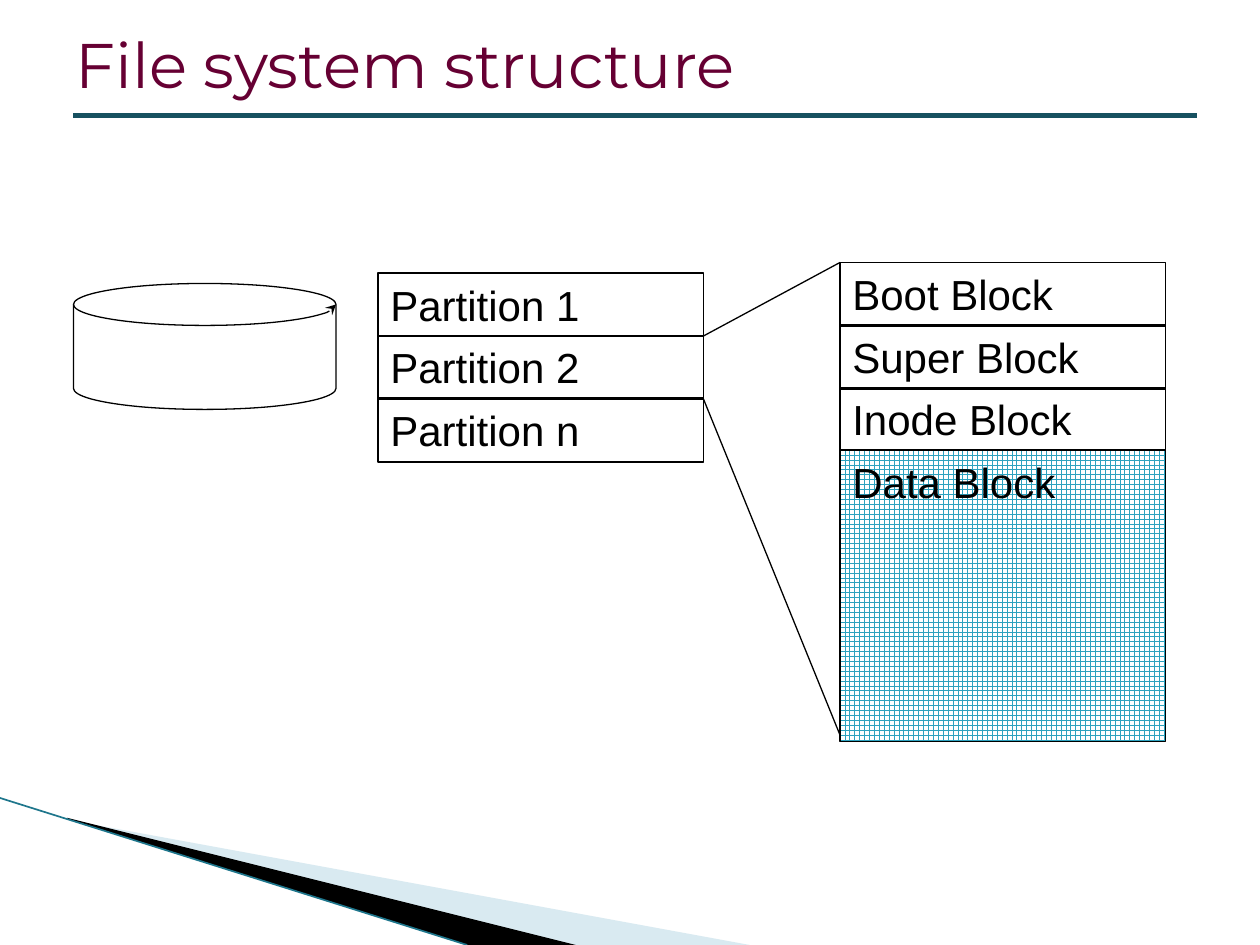
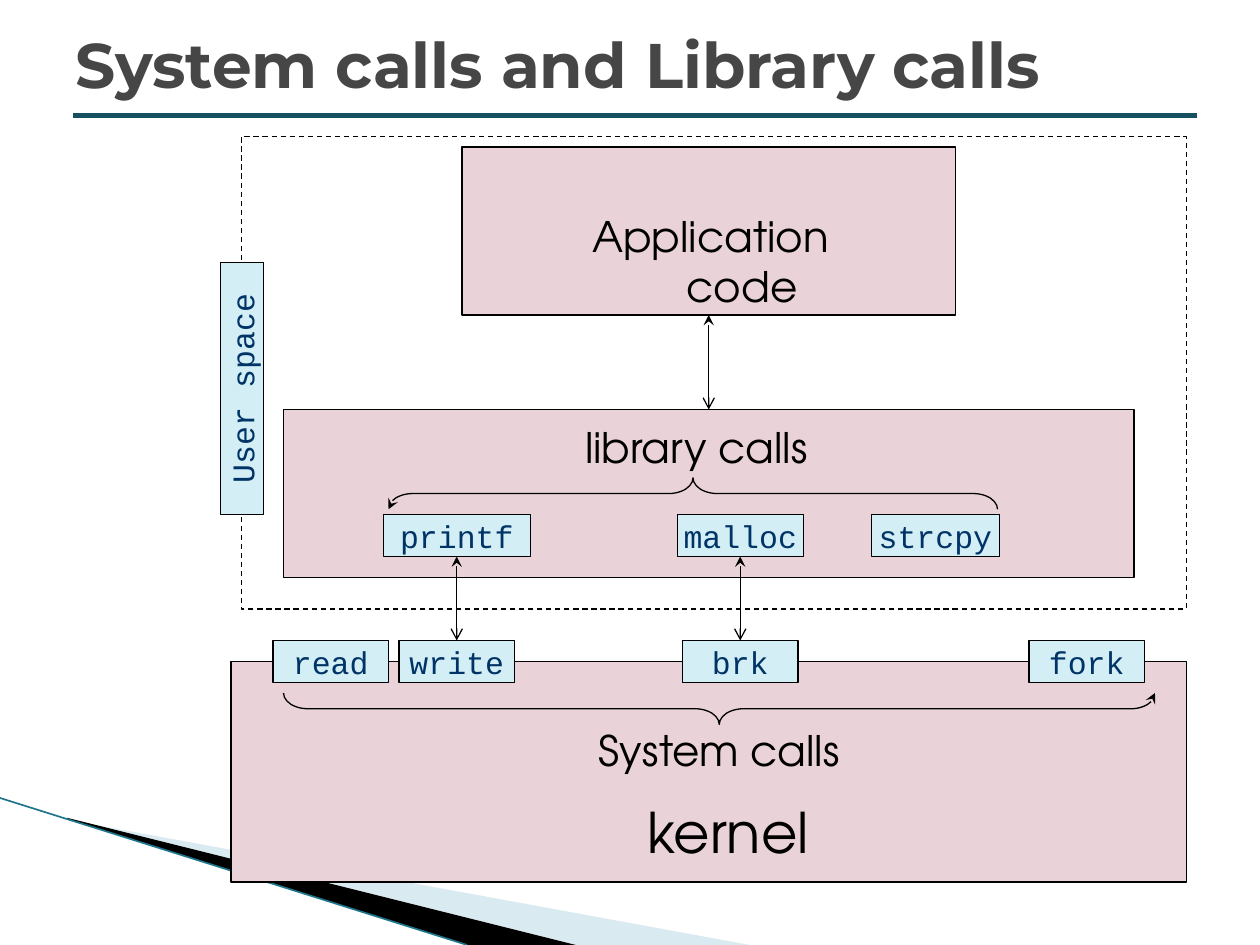
from lxml import etree
from pptx import Presentation
from pptx.dml.color import RGBColor
from pptx.enum import dml, shapes, text
from pptx.oxml import ns
from pptx.util import Pt

BLACK = RGBColor(0x00, 0x00, 0x00)
WHITE = RGBColor(0xFF, 0xFF, 0xFF)
PLUM = RGBColor(0x66, 0x00, 0x33)
GREY = RGBColor(0x46, 0x46, 0x46)
NAVY = RGBColor(0x00, 0x33, 0x66)
RULE = RGBColor(0x17, 0x51, 0x60)
EDGE = RGBColor(0x1E, 0x76, 0x8C)
PALE_BLUE = RGBColor(0xA0, 0xCB, 0xDC)
GRID_BLUE = RGBColor(0x2D, 0xA2, 0xBF)
ROSE = RGBColor(0xEA, 0xD3, 0xD8)
ICE = RGBColor(0xD3, 0xEE, 0xF5)

TITLE_FONT = "Montserrat"
BLOCK_FONT = "Arial"
CODE_FONT = "Courier New"
LABEL_FONT = "TeX Gyre Adventor"

SHAPE = shapes.MSO_SHAPE
LEFT, CENTER = text.PP_ALIGN.LEFT, text.PP_ALIGN.CENTER
TOP, MIDDLE = text.MSO_ANCHOR.TOP, text.MSO_ANCHOR.MIDDLE


def points(*values):
    return [Pt(value) for value in values]


class Deck:
    def __init__(self):
        self.presentation = Presentation()
        self.presentation.slide_width, self.presentation.slide_height = points(720, 540)
        self.layout = self.presentation.slide_layouts[5]
        title = self.layout.placeholders[0]
        title.left, title.top, title.width, title.height = points(36, 6, 648, 60)
        self.slide = None

    def add_slide(self, title, color, bold=False):
        self.slide = self.presentation.slides.add_slide(self.layout)
        if len(self.presentation.slides) == 1:
            self.decorate_master()
        self.put_text(self.slide.shapes.title, title, TITLE_FONT, 36, color,
                      LEFT, MIDDLE, (7.2, 3.6), bold=bold)

    def decorate_master(self):
        tree = self.presentation.slide_master.shapes.element
        decorations = [
            self.wedge([(39.6, 468.7), (428.4, 540), (328.3, 540), (39.6, 468)], PALE_BLUE, 40),
            self.wedge([(38.2, 467.3), (329, 540), (267, 540), (38.9, 468)], BLACK),
            self.line((0, 456), (267, 540), EDGE, 0.95),
            self.line((42, 66), (684, 66), RULE, 3),
        ]
        for number, decoration in enumerate(decorations, 101):
            decoration.element.xpath(".//p:cNvPr")[0].set("id", str(number))
            tree.append(decoration.element)

    def wedge(self, corners, color, opacity=100):
        start, *others = [points(*corner) for corner in corners]
        builder = self.slide.shapes.build_freeform(*start, scale=1.0)
        builder.add_line_segments(others)
        shape = builder.convert_to_shape()
        shape.shadow.inherit = False
        shape.fill.solid()
        shape.fill.fore_color.rgb = color
        shape.line.fill.background()
        if opacity < 100:
            fill = shape.element.spPr.find(ns.qn("a:solidFill"))
            etree.SubElement(fill[0], ns.qn("a:alpha"), val=str(opacity * 1000))
        return shape

    def line(self, start, end, color=BLACK, width=0.75):
        connector = self.slide.shapes.add_connector(
            shapes.MSO_CONNECTOR.STRAIGHT, *points(*start, *end))
        connector.line.color.rgb = color
        connector.line.width = Pt(width)
        etree.SubElement(connector.element.spPr, ns.qn("a:effectLst"))
        return connector

    def arrow(self, upper, lower):
        connector = self.line((0, 0), (0, 0))
        connector.begin_connect(upper, 2)
        connector.end_connect(lower, 0)
        self.line_end(connector, "headEnd", "stealth")
        self.line_end(connector, "tailEnd", "arrow")

    def line_end(self, shape, end, kind):
        line = shape.element.spPr.find(ns.qn("a:ln"))
        etree.SubElement(line, ns.qn("a:" + end), type=kind)

    def shape(self, preset, box, fill=None):
        shape = self.slide.shapes.add_shape(preset, *points(*box))
        shape.shadow.inherit = False
        if fill is None:
            shape.fill.background()
        else:
            shape.fill.solid()
            shape.fill.fore_color.rgb = fill
        shape.line.color.rgb = BLACK
        shape.line.width = Pt(0.75)
        return shape

    def block(self, words, box):
        shape = self.shape(SHAPE.RECTANGLE, box)
        self.put_text(shape, words, BLOCK_FONT, 24, BLACK, LEFT, TOP, (7.2, 3.6))
        return shape

    def chip(self, words, box):
        shape = self.shape(SHAPE.RECTANGLE, box, ICE)
        self.put_text(shape, words, CODE_FONT, 18, NAVY, CENTER, MIDDLE, wrap=False)
        return shape

    def label(self, words, box, size=24, hanging=0):
        shape = self.slide.shapes.add_textbox(*points(*box))
        self.put_text(shape, words, LABEL_FONT, size, BLACK, CENTER, TOP, (7.2, 0),
                      wrap=hanging > 0, hanging=hanging)

    def brace(self, box, rotation):
        shape = self.shape(SHAPE.RIGHT_BRACE, box)
        shape.adjustments[0] = 0.77
        shape.rotation = rotation
        self.line_end(shape, "headEnd", "stealth")

    def put_text(self, shape, words, font, size, color, align, anchor,
                 insets=(0, 0), wrap=True, bold=False, hanging=0):
        frame = shape.text_frame
        frame.word_wrap = wrap
        frame.vertical_anchor = anchor
        frame.margin_left = frame.margin_right = Pt(insets[0])
        frame.margin_top = frame.margin_bottom = Pt(insets[1])
        paragraph = frame.paragraphs[0]
        paragraph.alignment = align
        if hanging:
            properties = paragraph._p.get_or_add_pPr()
            properties.set("marL", str(Pt(hanging)))
            properties.set("indent", str(-Pt(hanging)))
        run = paragraph.add_run()
        run.text = words
        run.font.name = font
        run.font.size = Pt(size)
        run.font.bold = bold
        run.font.color.rgb = color


def file_system_slide(deck):
    deck.add_slide("File system structure", PLUM)
    width, height, pitch = 186, 36.5, 35.75
    partition_left, partition_top = 216, 156
    block_left, block_top = 480, 150

    for row, name in enumerate(["Boot Block", "Super Block", "Inode Block"]):
        deck.block(name, (block_left, block_top + row * pitch, width, height))
    data = deck.block("Data Block", (block_left, block_top + 3 * pitch, width, 166.5))
    data.fill.patterned()
    data.fill.pattern = dml.MSO_PATTERN.LARGE_GRID
    data.fill.fore_color.rgb = GRID_BLUE
    data.fill.back_color.rgb = WHITE

    for row, name in enumerate(["Partition 1", "Partition 2", "Partition n"]):
        deck.block(name, (partition_left, partition_top + row * pitch, width, height))

    partition_right = partition_left + width
    deck.line((partition_right, 192), (block_left, block_top))
    deck.line((partition_right, 228), (block_left, 420))
    disk = deck.shape(SHAPE.FLOWCHART_MAGNETIC_DISK, (42, 162, 150, 72))
    deck.line_end(disk, "headEnd", "stealth")


def calls_slide(deck):
    deck.add_slide("System calls and Library calls", GREY, bold=True)
    library = deck.shape(SHAPE.RECTANGLE, (162, 234, 486, 96), ROSE)
    deck.shape(SHAPE.RECTANGLE, (132, 378, 546, 126), ROSE)
    application = deck.shape(SHAPE.RECTANGLE, (264, 84, 282, 96), ROSE)

    system_calls = {name: deck.chip(name, (left, 366, 66, 24))
                    for name, left in [("read", 156), ("write", 228), ("brk", 390), ("fork", 588)]}
    library_calls = {name: deck.chip(name, (left, 294, width, 24))
                     for name, left, width in [("printf", 219, 84), ("malloc", 387, 72),
                                               ("strcpy", 498, 73)]}

    deck.arrow(application, library)
    deck.arrow(library_calls["printf"], system_calls["write"])
    deck.arrow(library_calls["malloc"], system_calls["brk"])

    deck.label("Application code", (300, 120, 212, 29), hanging=36)
    deck.label("library calls", (322, 241, 152, 29))
    deck.label("System calls", (330, 414, 162, 29))
    deck.label("kernel", (360, 456, 112, 39), size=32)
    deck.brace((387, 108, 18, 348), 270)
    deck.brace((402, 156, 18, 498), 90)

    user_space = deck.shape(SHAPE.RECTANGLE, (138, 78, 540, 270))
    user_space.line.dash_style = dml.MSO_LINE.DASH
    tag = deck.chip("User space", (126, 150, 24.5, 144))
    tag.text_frame._txBody.bodyPr.set("vert", "vert270")


def main():
    deck = Deck()
    file_system_slide(deck)
    calls_slide(deck)
    deck.presentation.save("out.pptx")


if __name__ == "__main__":
    main()
